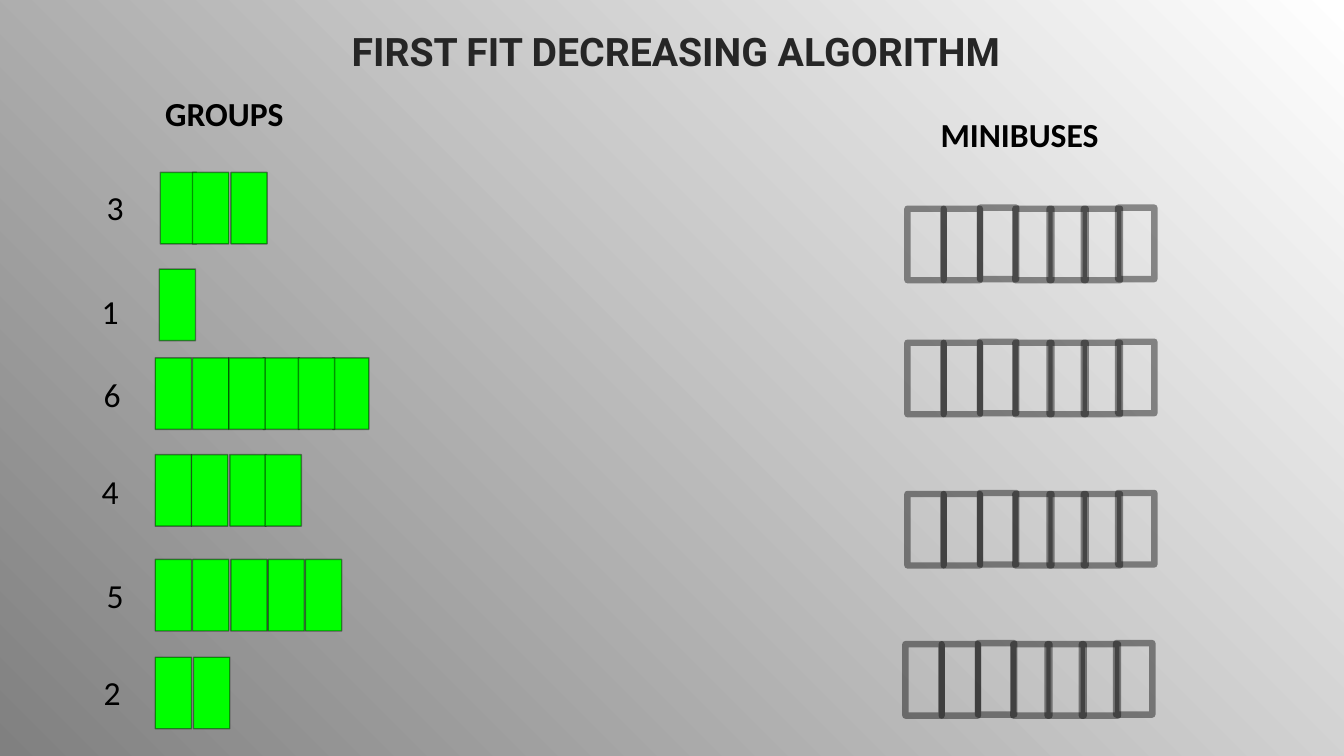
from lxml import etree
from pptx import Presentation
from pptx.dml.color import RGBColor
from pptx.enum import shapes, text
from pptx.oxml import ns
from pptx.util import Inches, Pt

HEADINGS = [
    ("FIRST FIT DECREASING ALGORITHM", (3.39, 0.22, 7.2, 0.57), 28, "Roboto", "262626"),
    ("GROUPS", (1.54, 0.87, 2.01, 0.5), 24, "Calibri", "000000"),
    ("MINIBUSES", (9.23, 1.08, 2.01, 0.5), 24, "Calibri", "000000"),
]
GROUPS = [
    {"size": "3", "label": (0.96, 1.81), "top": 1.71, "lefts": [1.59, 2.29, 1.91]},
    {"size": "1", "label": (0.91, 2.84), "top": 2.67, "lefts": [1.58]},
    {"size": "6", "label": (0.93, 3.66), "top": 3.55,
     "lefts": [2.61, 1.54, 1.91, 3.3, 2.96, 2.27]},
    {"size": "4", "label": (0.91, 4.62), "top": 4.51, "lefts": [1.54, 2.28, 1.9, 2.63]},
    {"size": "5", "label": (0.96, 5.65), "top": 5.55, "lefts": [1.54, 3.03, 2.66, 2.29, 1.91]},
    {"size": "2", "label": (0.93, 6.62), "top": 6.52, "lefts": [1.54, 1.92]},
]
MINIBUSES = [(9, 2.06), (9, 3.39), (9, 4.89), (8.98, 6.38)]
BUS_SEATS = [(0, 0.01), (0.36, 0.01), (0.72, 0), (1.07, 0.01),
             (1.41, 0.01), (1.75, 0.01), (2.09, 0)]
SEAT_WIDTH, SEAT_HEIGHT = 0.36, 0.71
LINE_ALPHA = "42000"


def color(value):
    return RGBColor.from_string(value)


def set_background(slide):
    fill = slide.background.fill
    fill.gradient()
    for stop, (position, value) in zip(fill.gradient_stops, [(0, "808080"), (1, "FFFFFF")]):
        stop.position = position
        stop.color.rgb = color(value)
    linear = slide.element.find(".//" + ns.qn("a:lin"))
    radial = etree.Element(ns.qn("a:path"), path="circle")
    etree.SubElement(radial, ns.qn("a:fillToRect"), t="100000", r="100000")
    linear.getparent().replace(linear, radial)


def add_text(container, wording, box, size, font_name, value, bold=False):
    frame = container.add_textbox(*map(Inches, box)).text_frame
    frame.word_wrap = True
    frame.auto_size = text.MSO_AUTO_SIZE.SHAPE_TO_FIT_TEXT
    paragraph = frame.paragraphs[0]
    paragraph.text = wording
    font = paragraph.font
    font.size, font.name, font.bold = Pt(size), font_name, bold
    font.color.rgb = color(value)


def add_seat(container, left, top, line_width, fill=None):
    box = map(Inches, (left, top, SEAT_WIDTH, SEAT_HEIGHT))
    seat = container.add_shape(shapes.MSO_SHAPE.RECTANGLE, *box)
    seat.shadow.inherit = False
    if fill:
        seat.fill.solid()
        seat.fill.fore_color.rgb = color(fill)
    else:
        seat.fill.background()
    seat.line.width = Pt(line_width)
    seat.line.color.rgb = color("000000")
    line_color = seat.element.find(".//" + ns.qn("a:ln")).find(".//" + ns.qn("a:srgbClr"))
    etree.SubElement(line_color, ns.qn("a:alpha"), val=LINE_ALPHA)


def main():
    presentation = Presentation()
    presentation.slide_width, presentation.slide_height = Inches(13.33), Inches(7.5)
    slide = presentation.slides.add_slide(presentation.slide_layouts[6])
    set_background(slide)

    for wording, box, size, font_name, value in HEADINGS:
        add_text(slide.shapes, wording, box, size, font_name, value, bold=True)

    for group in GROUPS:
        members = slide.shapes.add_group_shape().shapes
        for left in group["lefts"]:
            add_seat(members, left, group["top"], 1, "00FF00")
        add_text(members, group["size"], (*group["label"], 0.41, 0.5), 24, "Calibri", "000000")

    for bus_left, bus_top in MINIBUSES:
        for across, down in BUS_SEATS:
            add_seat(slide.shapes, bus_left + across, bus_top + down, 4.5)

    presentation.save("out.pptx")


if __name__ == "__main__":
    main()
